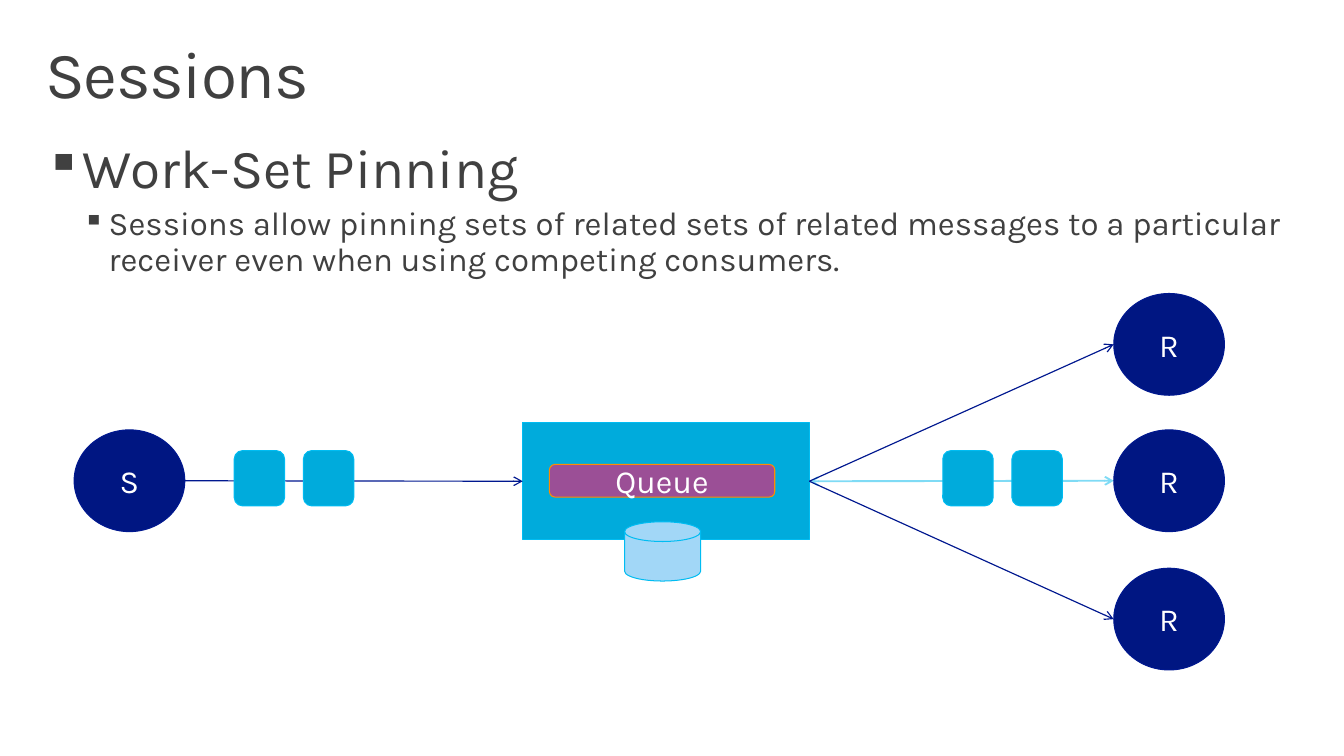
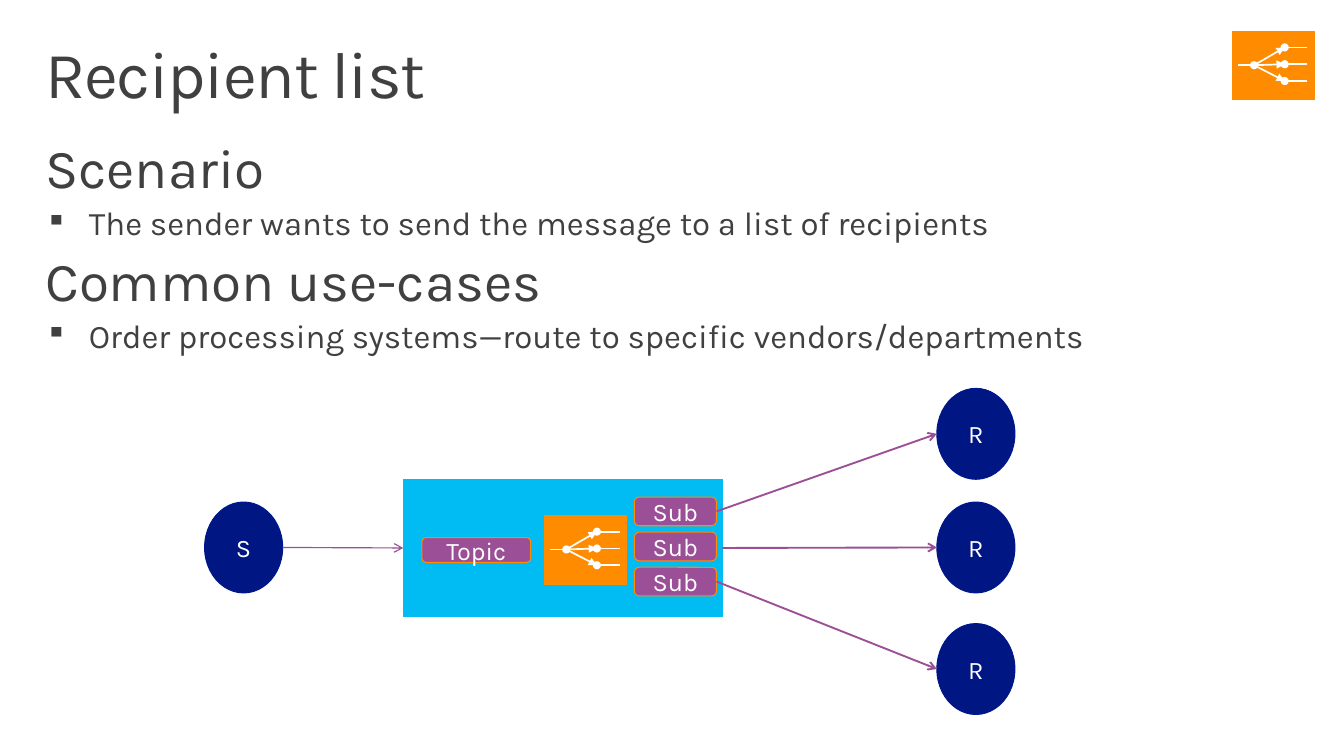
from dataclasses import dataclass
from typing import NamedTuple, Optional

from lxml.etree import SubElement
from pptx import Presentation
from pptx.dml.color import RGBColor
from pptx.enum.shapes import MSO_CONNECTOR, MSO_SHAPE
from pptx.enum.text import MSO_ANCHOR, MSO_AUTO_SIZE, PP_ALIGN
from pptx.oxml.ns import qn
from pptx.shapes.autoshape import Shape
from pptx.shapes.connector import Connector
from pptx.shapes.shapetree import GroupShapes, SlideShapes
from pptx.slide import Slide
from pptx.text.text import TextFrame
from pptx.util import Inches, Pt

FONT = "Karla"
TEXT = RGBColor(0x40, 0x40, 0x40)
WHITE = RGBColor(0xFF, 0xFF, 0xFF)
NAVY = RGBColor(0x00, 0x16, 0x82)
NAVY_LINE = RGBColor(0x00, 0x18, 0x8F)
BLUE = RGBColor(0x00, 0xAB, 0xDC)
CYAN = RGBColor(0x00, 0xBC, 0xF2)
SOFT_CYAN = RGBColor(0x00, 0xB8, 0xED)
SKY = RGBColor(0xA2, 0xD7, 0xF7)
PURPLE = RGBColor(0x9B, 0x4F, 0x96)
ORANGE = RGBColor(0xFF, 0x8C, 0x00)

RIGHT_SIDE, LEFT_SIDE = 3, 1
Point = tuple[float, float]
Shapes = SlideShapes | GroupShapes


class NodeStyle(NamedTuple):
    kind: MSO_SHAPE
    fill: RGBColor
    line: RGBColor


ENDPOINT = NodeStyle(MSO_SHAPE.OVAL, NAVY, NAVY_LINE)
ENTITY = NodeStyle(MSO_SHAPE.ROUNDED_RECTANGLE, PURPLE, ORANGE)
MESSAGE = NodeStyle(MSO_SHAPE.ROUNDED_RECTANGLE, BLUE, CYAN)
QUEUE_BROKER = NodeStyle(MSO_SHAPE.RECTANGLE, BLUE, CYAN)
TOPIC_BROKER = NodeStyle(MSO_SHAPE.RECTANGLE, CYAN, CYAN)
STORE = NodeStyle(MSO_SHAPE.FLOWCHART_MAGNETIC_DISK, SKY, CYAN)
ICON = NodeStyle(MSO_SHAPE.RECTANGLE, ORANGE, ORANGE)


@dataclass(frozen=True)
class Node:
    style: NodeStyle
    left: float
    top: float
    width: float
    height: float
    text: str = ""
    size: float = 23.5

    @property
    def left_middle(self) -> Point:
        return self.left, self.top + self.height / 2

    @property
    def right_middle(self) -> Point:
        return self.left + self.width, self.top + self.height / 2


@dataclass(frozen=True)
class LineStyle:
    color: RGBColor
    width: float
    tail: str = "arrow"
    head: Optional[str] = None
    opacity: int = 100


NAVY_ARROW = LineStyle(NAVY_LINE, 0.85)
SESSION_ARROW = LineStyle(SOFT_CYAN, 1.35, head="arrow", opacity=50)
SEND_ARROW = LineStyle(PURPLE, 0.85)
ROUTE_ARROW = LineStyle(PURPLE, 1.35)
ICON_DOT = LineStyle(WHITE, 1.25, "oval")
ICON_ARROW = LineStyle(WHITE, 1.25, "triangle")


class BodyLine(NamedTuple):
    text: str
    size: float
    level: int = 0
    margin: float = 0
    hanging: float = 0  # a bullet stands in the hanging indent


def set_insets(frame: TextFrame, across: float, down: float) -> None:
    frame.margin_left = frame.margin_right = Inches(across)
    frame.margin_top = frame.margin_bottom = Inches(down)


def add_node(shapes: Shapes, node: Node) -> Shape:
    shape = shapes.add_shape(node.style.kind, Inches(node.left), Inches(node.top),
                             Inches(node.width), Inches(node.height))
    shape.shadow.inherit = False
    shape.fill.solid()
    shape.fill.fore_color.rgb = node.style.fill
    shape.line.color.rgb = node.style.line
    shape.line.width = Pt(0.75)
    if node.text:
        frame = shape.text_frame
        set_insets(frame, 0.1, 0.05)
        frame.vertical_anchor = MSO_ANCHOR.MIDDLE
        paragraph = frame.paragraphs[0]
        paragraph.text = node.text
        paragraph.alignment = PP_ALIGN.CENTER
        paragraph.font.name = FONT
        paragraph.font.size = Pt(node.size)
        paragraph.font.color.rgb = WHITE
    return shape


def add_line(shapes: Shapes, style: LineStyle, start: Point, end: Point) -> Connector:
    connector = shapes.add_connector(MSO_CONNECTOR.STRAIGHT, Inches(start[0]), Inches(start[1]),
                                     Inches(end[0]), Inches(end[1]))
    connector.line.color.rgb = style.color
    connector.line.width = Pt(style.width)
    properties = connector._element.spPr
    line = properties.find(qn("a:ln"))
    if style.opacity < 100:
        color = line.find(".//" + qn("a:srgbClr"))
        SubElement(color, qn("a:alpha"), val=str(style.opacity * 1000))
    if style.head:
        SubElement(line, qn("a:headEnd"), type=style.head)
    SubElement(line, qn("a:tailEnd"), type=style.tail)
    SubElement(properties, qn("a:effectLst"))
    return connector


def add_title_slide(presentation: Presentation, title: str) -> Slide:
    slide = presentation.slides.add_slide(presentation.slide_layouts.get_by_name("Title Only"))
    shape = slide.shapes.title
    shape.left, shape.top = Inches(0.3), Inches(0.32)
    shape.width, shape.height = Inches(13), Inches(1)
    frame = shape.text_frame
    frame.auto_size = MSO_AUTO_SIZE.NONE
    frame.vertical_anchor = MSO_ANCHOR.TOP
    set_insets(frame, 0.16, 0.1)
    paragraph = frame.paragraphs[0]
    paragraph.text = title
    paragraph.alignment = PP_ALIGN.LEFT
    paragraph.line_spacing = 0.9
    paragraph.font.name = FONT
    paragraph.font.size = Pt(48)
    paragraph.font.color.rgb = TEXT
    paragraph.runs[0]._r.get_or_add_rPr().set("spc", "-100")
    return slide


def add_body(slide: Slide, height: float, lines: list[BodyLine]) -> None:
    box = slide.shapes.add_textbox(Inches(0.3), Inches(1.33), Inches(13), Inches(height))
    frame = box.text_frame
    frame.word_wrap = True
    set_insets(frame, 0.16, 0.1)
    for index, line in enumerate(lines):
        paragraph = frame.add_paragraph() if index else frame.paragraphs[0]
        paragraph.text = line.text
        paragraph.level = line.level
        paragraph.line_spacing = 0.9
        paragraph.space_before = Pt(line.size * 0.2)
        if line.hanging:
            properties = paragraph._p.get_or_add_pPr()
            properties.set("marL", str(Inches(line.margin)))
            properties.set("indent", str(-Inches(line.hanging)))
            color = SubElement(properties, qn("a:buClr"))
            SubElement(color, qn("a:srgbClr"), val=str(TEXT))
            SubElement(properties, qn("a:buSzPct"), val="90000")
            SubElement(properties, qn("a:buChar"), char="▪")
        paragraph.font.name = FONT
        paragraph.font.size = Pt(line.size)
        paragraph.font.color.rgb = TEXT


def add_recipient_icon(slide: Slide, left: float, top: float) -> None:
    shapes = slide.shapes.add_group_shape().shapes
    add_node(shapes, Node(ICON, left, top, 0.83, 0.69))
    hub = (left + 0.22, top + 0.34)
    add_line(shapes, ICON_DOT, (left + 0.06, top + 0.34), hub)
    for row in range(3):
        target = (left + 0.53, top + 0.16 + row * 0.17)
        add_line(shapes, ICON_DOT, (left + 0.76, target[1]), target)
        add_line(shapes, ICON_ARROW, hub, target)


def build_sessions(presentation: Presentation) -> None:
    slide = add_title_slide(presentation, "Sessions")
    add_body(slide, 2.44, [
        BodyLine("Work-Set Pinning", 40, 0, 0.38, 0.38),
        BodyLine("Sessions allow pinning sets of related sets of related messages to a "
                 "particular receiver even when using competing consumers.", 24, 1, 0.64, 0.26),
    ])
    shapes = slide.shapes

    # Sender, queue and its store
    broker = Node(QUEUE_BROKER, 5.29, 4.28, 2.9, 1.18)
    sender = Node(ENDPOINT, 0.75, 4.35, 1.12, 1.03, "S")
    broker_shape = add_node(shapes, broker)
    add_node(shapes, sender)
    add_node(shapes, Node(STORE, 6.32, 5.28, 0.77, 0.6))
    add_node(shapes, Node(ENTITY, 5.56, 4.7, 2.28, 0.33, "Queue"))
    sending = add_line(shapes, NAVY_ARROW, sender.right_middle, broker.left_middle)
    sending.end_connect(broker_shape, LEFT_SIDE)

    # Competing receivers; the middle one holds the session
    for top, style in ((4.35, SESSION_ARROW), (2.97, NAVY_ARROW), (5.75, NAVY_ARROW)):
        receiver = Node(ENDPOINT, 11.27, top, 1.12, 1.03, "R")
        add_node(shapes, receiver)
        arrow = add_line(shapes, style, broker.right_middle, receiver.left_middle)
        arrow.begin_connect(broker_shape, RIGHT_SIDE)

    # Pairs of messages under way
    for first_left in (2.37, 9.54):
        for index in range(2):
            add_node(shapes, Node(MESSAGE, first_left + index * 0.7, 4.56, 0.51, 0.56))


def build_recipient_list(presentation: Presentation) -> None:
    slide = add_title_slide(presentation, "Recipient list")
    add_body(slide, 2.88, [
        BodyLine("Scenario", 40),
        BodyLine("The sender wants to send the message to a list of recipients",
                 24, 1, 0.44, 0.44),
        BodyLine("Common use-cases", 40),
        BodyLine("Order processing systems—route to specific vendors/departments",
                 24, 1, 0.44, 0.44),
    ])
    shapes = slide.shapes
    label_size = 18.4

    # Sender and topic
    broker = Node(TOPIC_BROKER, 4.08, 4.85, 3.23, 1.39)
    sender = Node(ENDPOINT, 2.07, 5.08, 0.79, 0.92, "S", label_size)
    broker_shape = add_node(shapes, broker)
    add_node(shapes, sender)
    add_node(shapes, Node(ENTITY, 4.27, 5.44, 1.1, 0.25, "Topic", label_size))
    sending = add_line(shapes, SEND_ARROW, sender.right_middle, broker.left_middle)
    sending.end_connect(broker_shape, LEFT_SIDE)

    # Subscriptions, each routed to its receiver
    for row, receiver_top in enumerate((3.93, 5.08, 6.31)):
        subscription = Node(ENTITY, 6.42, 5.03 + row * 0.355, 0.83, 0.29, "Sub", label_size)
        receiver = Node(ENDPOINT, 9.48, receiver_top, 0.79, 0.92, "R", label_size)
        source_shape = add_node(shapes, subscription)
        add_node(shapes, receiver)
        source = subscription
        if row == 1:  # the middle route leaves from the broker's edge
            source, source_shape = broker, broker_shape
        route = add_line(shapes, ROUTE_ARROW, source.right_middle, receiver.left_middle)
        route.begin_connect(source_shape, RIGHT_SIDE)

    # Pattern icon in the corner and inside the broker
    for left, top in ((12.47, 0.32), (5.51, 5.22)):
        add_recipient_icon(slide, left, top)


def main() -> None:
    presentation = Presentation()
    presentation.slide_width = Inches(13.6)
    presentation.slide_height = Inches(7.65)
    build_sessions(presentation)
    build_recipient_list(presentation)
    presentation.save("out.pptx")


if __name__ == "__main__":
    main()
